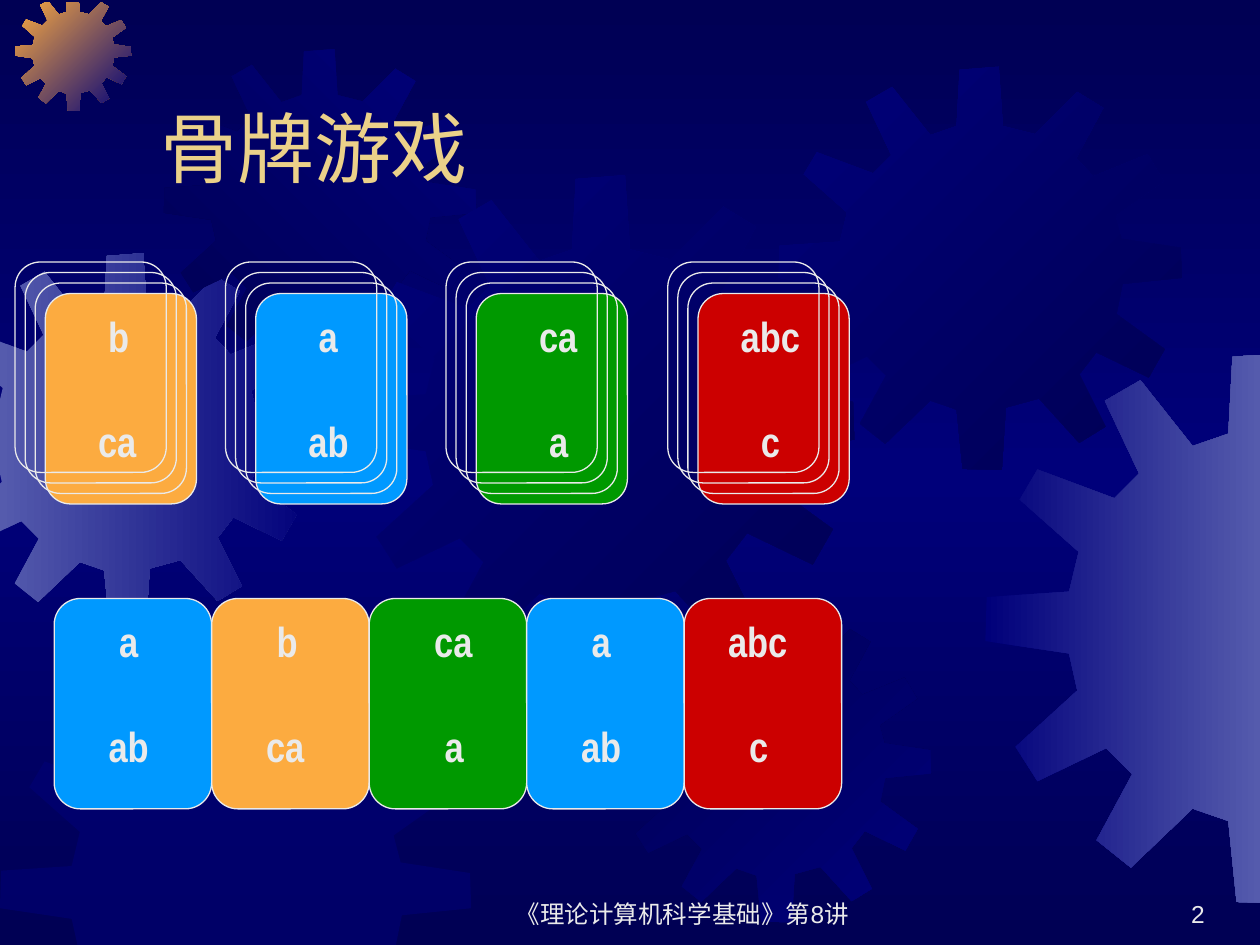
import copy

import pptx
import pptx.dml.color
import pptx.enum.shapes
import pptx.enum.text
import pptx.oxml
import pptx.oxml.ns
import pptx.util

Inches = pptx.util.Inches
ALIGN = pptx.enum.text.PP_ALIGN
BOTTOM = pptx.enum.text.MSO_ANCHOR.BOTTOM
NAVY, BLUE, HAZE, AMBER = "000054", "00007A", "555BAD", "FCAB40"
PALE, GOLD = "EAEAEA", "EBD189"

GEAR_SIZE = 4.01
GEAR_OUTLINE = [
    (2.55, 0.67), (2.23, 0.59), (2.19, 0), (1.8, 0.03), (1.77, 0.59),
    (1.51, 0.68), (1.13, 0.2), (0.87, 0.35), (1.12, 0.88), (0.94, 1.06),
    (0.38, 0.85), (0.25, 1.07), (0.68, 1.45), (0.61, 1.74), (0.01, 1.78),
    (0, 2.1), (0.61, 2.19), (0.67, 2.46), (0.22, 2.87), (0.38, 3.12),
    (0.88, 2.88), (1.07, 3.07), (0.81, 3.55), (1.06, 3.75), (1.51, 3.32),
    (1.77, 3.41), (1.83, 4), (2.22, 4.01), (2.26, 3.39), (2.59, 3.3),
    (2.99, 3.74), (3.25, 3.58), (2.99, 3.06), (3.16, 2.84), (3.68, 3.09),
    (3.84, 2.81), (3.36, 2.46), (3.42, 2.16), (4.01, 2.1), (4, 1.8),
    (3.41, 1.71), (3.35, 1.48), (3.83, 1.14), (3.67, 0.87), (3.13, 1.09),
    (2.96, 0.91), (3.23, 0.41), (2.97, 0.25),
]
GEARS = [
    (-0.48, 2.01, 2.96, HAZE, BLUE, 0),
    (0.12, -0.04, 0.92, AMBER, BLUE, 45),
    (1.3, 0.39, 2.48, NAVY, BLUE, 315),
    (2.77, 1.39, 4.01, BLUE, NAVY, 45),
    (0, 5.25, 3.74, BLUE, None, 0),
    (4.91, 4.84, 2.48, NAVY, BLUE, 45),
    (6.18, 0.53, 3.2, BLUE, NAVY, 45),
    (7.82, 2.8, 4.37, BLUE, HAZE, 0),
]

DOMINOES = {
    "b": ("ca", AMBER, 5, 4, 8),
    "a": ("ab", "0099FF", 5, 4, 8),
    "ca": ("a", "009900", 5, 6, 8),
    "abc": ("c", "CC0000", 3, 5, 9),
}


def color(value):
    """Turn a hex string into a colour."""
    return pptx.dml.color.RGBColor.from_string(value)


def write(frame, text, size, font, ink, align=ALIGN.LEFT, bold=False):
    """Add one formatted run to the first paragraph of a frame."""
    paragraph = frame.paragraphs[0]
    paragraph.alignment = align
    run = paragraph.add_run()
    run.text = text
    run.font.size = pptx.util.Pt(size)
    run.font.name = font
    run.font.bold = bold
    run.font.color.rgb = color(ink)


def add_text(shapes, box, text, size, font, align=ALIGN.LEFT, bold=False):
    """Add a wrapped text box and return its frame."""
    frame = shapes.add_textbox(*map(Inches, box)).text_frame
    frame.word_wrap = True
    write(frame, text, size, font, PALE, align, bold)
    return frame


def set_gradient(fill, first, last, angle):
    """Give a fill a two-colour gradient with a clockwise angle."""
    fill.gradient()
    fill.gradient_angle = (360 - angle) % 360
    for stop, value in zip(fill.gradient_stops, (first, last)):
        stop.color.rgb = color(value)


def clip(points, axis, limit, sign):
    """Cut a polygon at a limit along one axis."""
    kept = []
    for start, end in zip(points, points[1:] + points[:1]):
        start_gap = sign * (start[axis] - limit)
        end_gap = sign * (end[axis] - limit)
        if start_gap >= 0:
            kept.append(start)
        if start_gap * end_gap < 0:
            share = start_gap / (start_gap - end_gap)
            kept.append(tuple(a + share * (b - a) for a, b in zip(start, end)))
    return kept


def add_gear(shapes, left, top, size, first, last, angle):
    """Draw one gear, cut at the slide edges."""
    scale = size / GEAR_SIZE
    points = [(left + x * scale, top + y * scale) for x, y in GEAR_OUTLINE]
    for axis, limit, sign in ((0, 0, 1), (0, 10, -1), (1, 0.02, 1), (1, 7.5, -1)):
        points = clip(points, axis, limit, sign)
    points = [(Inches(x), Inches(y)) for x, y in points]
    builder = shapes.build_freeform(*points[0])
    builder.add_line_segments(points[1:], close=True)
    gear = builder.convert_to_shape()
    gear.shadow.inherit = False
    gear.line.fill.background()
    if last:
        set_gradient(gear.fill, first, last, angle)
    else:
        gear.fill.solid()
        gear.fill.fore_color.rgb = color(first)
        tint = gear._element.spPr.find(".//" + pptx.oxml.ns.qn("a:srgbClr"))
        tint.append(pptx.oxml.parse_xml(
            '<a:alpha %s val="50000"/>' % pptx.oxml.ns.nsdecls("a")))


def add_backdrop(slide):
    """Fill the background and scatter the gears."""
    fill = slide.background.fill
    set_gradient(fill, NAVY, BLUE, 90)
    fill.gradient_stops[1].position = 0.5
    stops = slide.element.find(".//" + pptx.oxml.ns.qn("a:gsLst"))
    closing = copy.deepcopy(stops[0])
    closing.set("pos", "100000")
    stops.append(closing)
    for gear in GEARS:
        add_gear(slide.shapes, *gear)


def add_card(shapes, left, top, width, height, fill=None):
    """Draw one rounded card, filled or in outline."""
    card = shapes.add_shape(
        pptx.enum.shapes.MSO_SHAPE.ROUNDED_RECTANGLE,
        *map(Inches, (left, top, width, height)))
    card.adjustments[0] = 0.167
    card.shadow.inherit = False
    card.line.color.rgb = color(PALE)
    card.line.width = pptx.util.Pt(0.75)
    if fill:
        card.fill.solid()
        card.fill.fore_color.rgb = color(fill)
    else:
        card.fill.background()


def add_domino(shapes, upper, left, top, width, height, spares=0):
    """Draw a domino with its two strings and spare outlines behind it."""
    lower, fill, upper_indent, lower_indent, upper_span = DOMINOES[upper]
    add_card(shapes, left, top, width, height, fill)
    for depth in range(spares, 0, -1):
        add_card(shapes, left - 0.08 * depth, top - height / 20 * depth, width, height)
    unit = width / 15
    for text, indent, span, drop in (
            (upper, upper_indent, upper_span, 0.05), (lower, lower_indent, 8, 0.55)):
        box = (left + indent * unit, top + drop * height, span * unit, 0.5)
        add_text(shapes, box, text, 24, "Arial Narrow", bold=True)


def add_stacks(slide, top):
    """Lay out the four stacks of dominoes."""
    group = slide.shapes.add_group_shape()
    for upper, left in zip(DOMINOES, (0.36, 2.03, 3.78, 5.54)):
        add_domino(group.shapes, upper, left, top, 1.2, 1.67, spares=3)


def add_match(slide, left, top):
    """Lay the chosen dominoes edge to edge."""
    group = slide.shapes.add_group_shape()
    for place, upper in enumerate(("a", "b", "ca", "a", "abc")):
        add_domino(group.shapes, upper, left + 1.25 * place, top, 1.25, 1.67)


def add_title(slide, left, top, width, height):
    """Place the title in front of the gears."""
    title = slide.shapes.title
    slide.shapes._spTree.append(title._element)
    title.left, title.top, title.width, title.height = map(
        Inches, (left, top, width, height))
    title.text_frame.vertical_anchor = BOTTOM
    write(title.text_frame, "骨牌游戏", 44, "Arial", GOLD)


def add_footer(slide, top):
    """Write the lecture name and the page number."""
    for text, left, width, align in (
            ("《理论计算机科学基础》第8讲", 3.83, 3.17, ALIGN.CENTER),
            ("2", 7.58, 2.08, ALIGN.RIGHT)):
        frame = add_text(slide.shapes, (left, top, width, 0.5), text, 14, "Arial", align)
        frame.vertical_anchor = BOTTOM


deck = pptx.Presentation()
deck.slide_width, deck.slide_height = Inches(10), Inches(7.5)
domino_slide = deck.slides.add_slide(deck.slide_layouts[5])
add_backdrop(domino_slide)
add_footer(domino_slide, 6.92)
add_title(domino_slide, 1.17, 0.33, 8.5, 1.25)
add_stacks(domino_slide, 2.33)
add_match(domino_slide, 0.43, 4.75)
deck.save("out.pptx")
